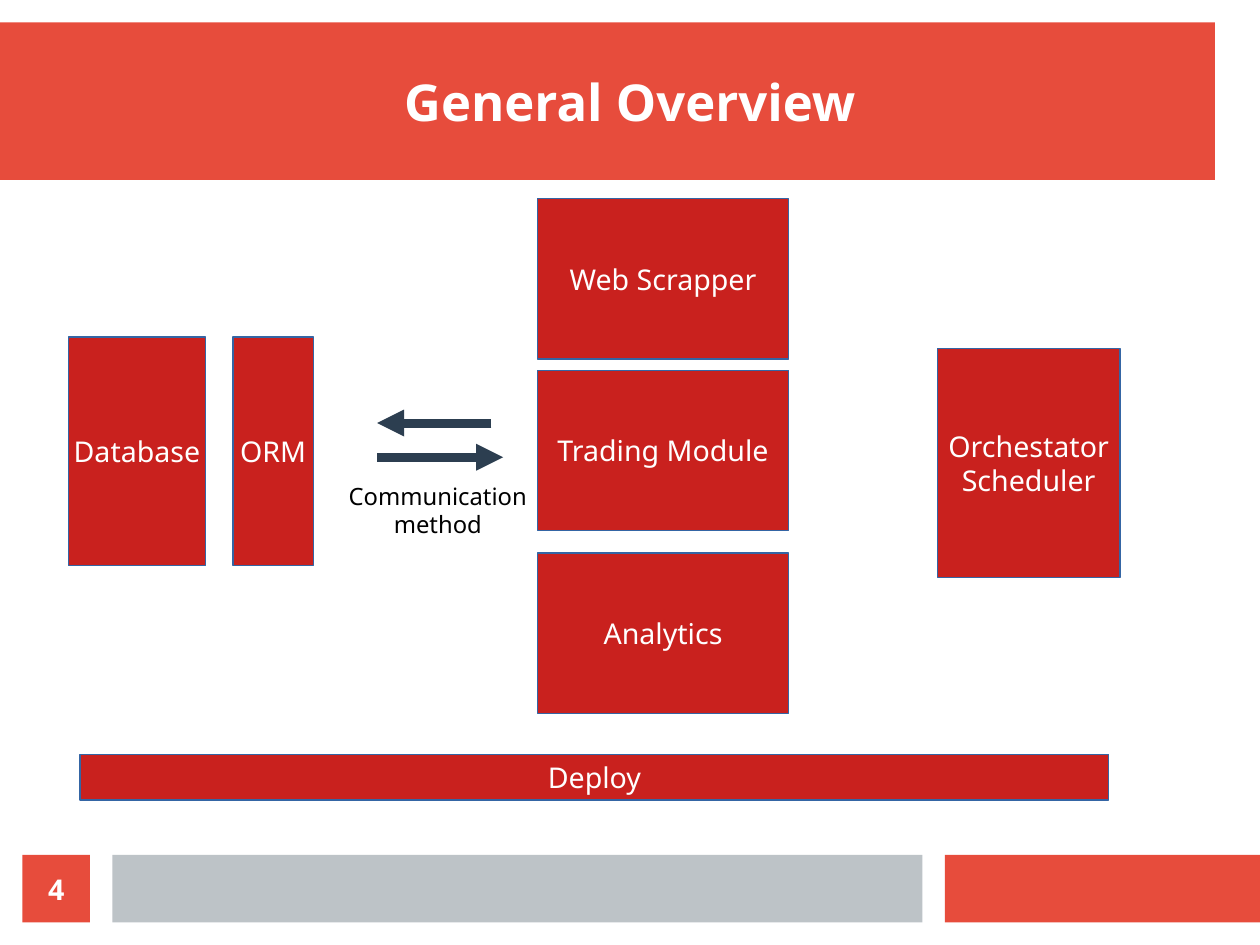
from lxml.etree import SubElement
from pptx import Presentation
from pptx.dml.color import RGBColor
from pptx.enum.shapes import MSO_CONNECTOR as Line, MSO_SHAPE as Shape
from pptx.enum.text import MSO_ANCHOR as Anchor, PP_ALIGN as Align
from pptx.oxml.ns import qn
from pptx.util import Cm, Pt

FONT = "Noto Sans"
COLORS = {"coral": "E74C3C", "gray": "BDC3C7", "red": "C9211E",
          "edge": "3465A4", "navy": "2C3E50", "white": "FFFFFF",
          "black": "000000"}

# Places are left, top, width, height in cm
TITLE = ("General Overview", (1, 1, 26, 2.5))
BARS = [
    ("coral", (0, 0.5, 27, 3.5)),
    ("coral", (21, 19, 7, 1.5)),
    ("gray", (2.5, 19, 18, 1.5)),
]
PAGE = ("4", (0.5, 19, 1.5, 1.5))
BLOCKS = [
    ("Database", (1.52, 7.49, 3.05, 5.08)),
    ("ORM", (5.18, 7.49, 1.78, 5.08)),
    ("Orchestator\nScheduler", (20.83, 7.75, 4.06, 5.08)),
    ("Deploy", (1.78, 16.76, 22.86, 1.02)),
]
MODULES = [("Web Scrapper", 4.42), ("Trading Module", 8.23),
           ("Analytics", 12.29)]
ARROWS = [(10.92, 8.38, 9.4), (8.38, 11.18, 10.16)]  # start, end, height
CAPTION = ("Communication\nmethod", (7.37, 10.57, 4.72, 1.7))


def rgb(name):
    return RGBColor.from_string(COLORS[name])


def cms(place):
    return [Cm(n) for n in place]


def write(shape, text, size=18, color="white", bold=False, wrap=True,
          anchor=Anchor.MIDDLE, pad=(0.25, 0.13)):
    frame = shape.text_frame
    frame.text = text
    frame.word_wrap = wrap
    frame.vertical_anchor = anchor
    frame.margin_left = frame.margin_right = Cm(pad[0])
    frame.margin_top = frame.margin_bottom = Cm(pad[1])
    for para in frame.paragraphs:
        para.alignment = Align.CENTER
        font = para.font
        font.name, font.size, font.bold = FONT, Pt(size), bold
        font.color.rgb = rgb(color)


def rect(slide, place, fill, edge=None):
    box = slide.shapes.add_shape(Shape.RECTANGLE, *cms(place))
    box.shadow.inherit = False
    box.fill.solid()
    box.fill.fore_color.rgb = rgb(fill)
    if edge:
        box.line.color.rgb = rgb(edge)
        box.line.width = Pt(0)
    else:
        box.line.fill.background()
    return box


def arrow(slide, start, end, y):
    link = slide.shapes.add_connector(Line.STRAIGHT, *cms((start, y, end, y)))
    link.line.color.rgb = rgb("navy")
    link.line.width = Pt(5.67)
    SubElement(link.line._get_or_add_ln(), qn("a:tailEnd"), type="triangle")
    SubElement(link._element.spPr, qn("a:effectLst"))


def main():
    deck = Presentation()
    deck.slide_width, deck.slide_height = Cm(28), Cm(21)
    slide = deck.slides.add_slide(deck.slide_layouts[5])

    for fill, place in BARS:
        rect(slide, place, fill)

    text, place = TITLE
    title = slide.shapes.title
    title.left, title.top, title.width, title.height = cms(place)
    write(title, text, size=32, bold=True, pad=(0, 0))
    slide.shapes._spTree.append(title._element)  # bring in front of the bar

    stack = [(name, (11.94, top, 5.59, 3.56)) for name, top in MODULES]
    for name, place in BLOCKS + stack:
        write(rect(slide, place, "red", "edge"), name, wrap=False)

    for ends in ARROWS:
        arrow(slide, *ends)

    text, place = CAPTION
    write(slide.shapes.add_textbox(*cms(place)), text, size=15,
          color="black", anchor=Anchor.TOP)

    text, place = PAGE
    write(rect(slide, place, "coral"), text, bold=True, pad=(0, 0))
    deck.save("out.pptx")


if __name__ == "__main__":
    main()
